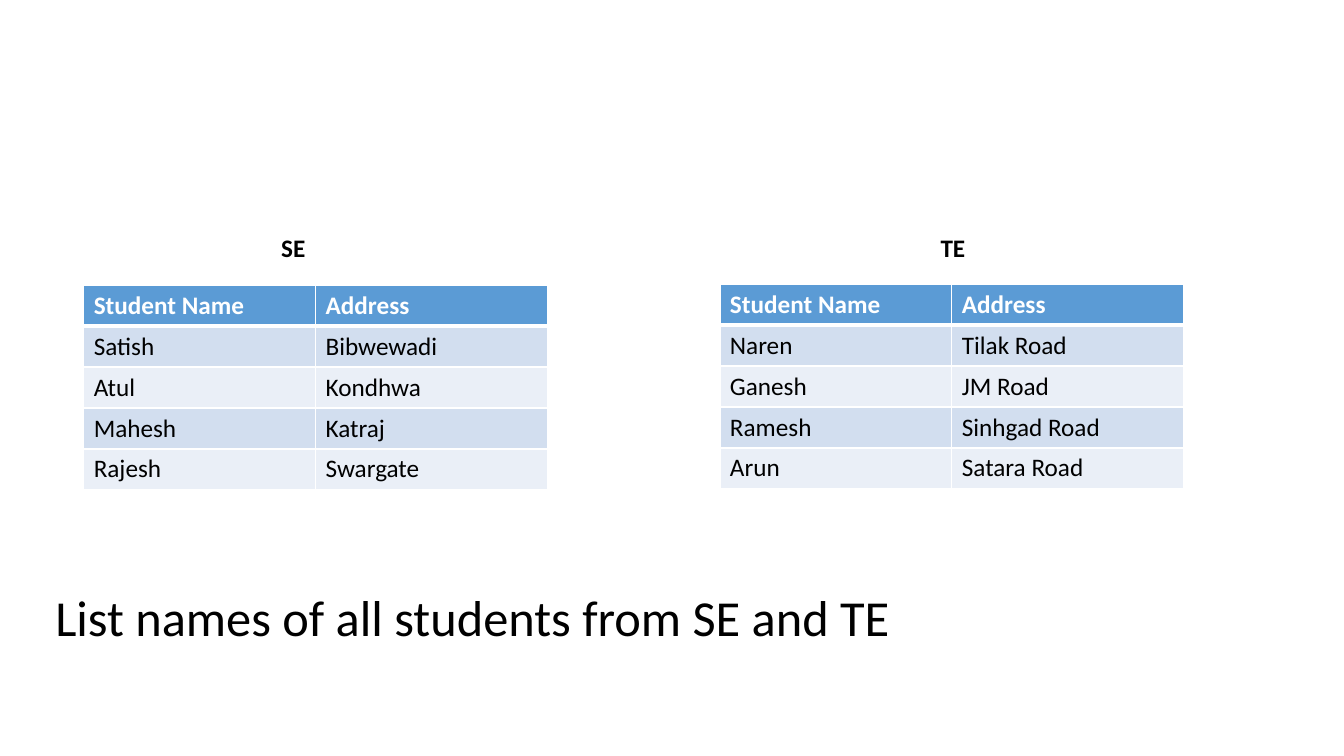
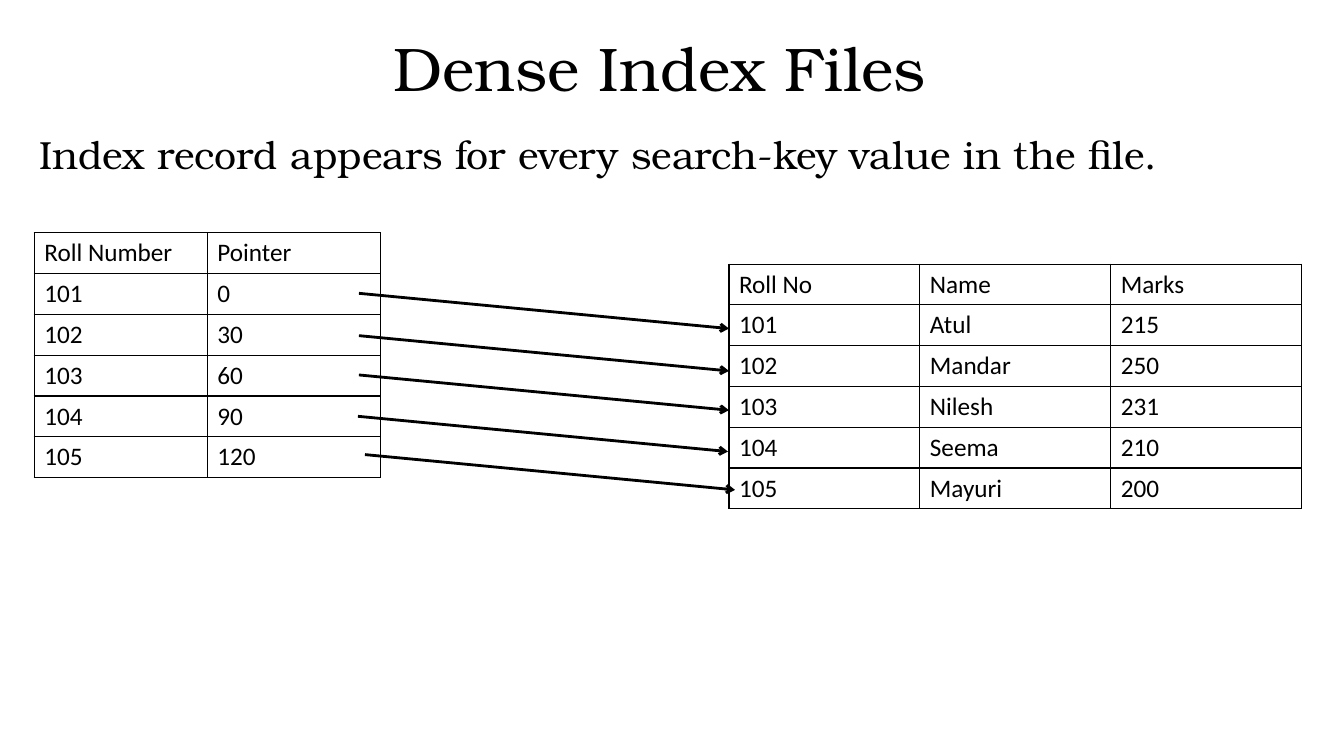
from dataclasses import dataclass

from lxml import etree
from pptx import Presentation
from pptx import util as u
from pptx.dml.color import RGBColor
from pptx.enum import shapes, text
from pptx.oxml.ns import qn


@dataclass(frozen=True)
class Theme:
    black: str = "000000"
    white: str = "FFFFFF"
    header: str = "5B9BD5"
    bands: tuple = ("D2DEEF", "EAEFF7")
    sans: str = "Calibri"
    serif: str = "TeX Gyre Bonum"
    title: int = 44
    prompt: int = 36
    body: int = 28
    table: int = 18


T = Theme()


def add_run(p, words, size, font=T.sans, color=T.black, bold=False):
    r = p.add_run()
    r.text = words
    r.font.size = u.Pt(size)
    r.font.name = font
    r.font.bold = bold
    r.font.color.rgb = RGBColor.from_string(color)


def add_text(s, box, words, size, wrap=False, align=text.PP_ALIGN.LEFT,
             anchor=text.MSO_ANCHOR.TOP, spacing=1.0, **style):
    tf = s.shapes.add_textbox(*map(u.Inches, box)).text_frame
    tf.word_wrap = wrap
    tf.vertical_anchor = anchor
    p = tf.paragraphs[0]
    p.alignment = align
    p.line_spacing = spacing
    add_run(p, words, size, **style)


def set_borders(cell, color, top=1, bottom=1):
    tcPr = cell._tc.get_or_add_tcPr()
    for side, width in (("L", 1), ("R", 1), ("T", top), ("B", bottom)):
        ln = etree.SubElement(tcPr, qn(f"a:ln{side}"), w=str(u.Pt(width)))
        fill = etree.SubElement(ln, qn("a:solidFill"))
        etree.SubElement(fill, qn("a:srgbClr"), val=color)


def add_table(s, box, rows, banded=False):
    """Draw a plain black grid, or a banded table with a coloured header."""
    frame = s.shapes.add_table(len(rows), len(rows[0]), *map(u.Inches, box))
    table = frame.table
    table.first_row = table.horz_banding = False
    for i, row in enumerate(rows):
        header = banded and i == 0
        for j, words in enumerate(row):
            cell = table.cell(i, j)
            set_borders(cell, T.white if banded else T.black,
                        top=3 if banded and i == 1 else 1,
                        bottom=3 if header else 1)
            if banded:
                cell.fill.solid()
                color = T.header if header else T.bands[(i - 1) % 2]
                cell.fill.fore_color.rgb = RGBColor.from_string(color)
            else:
                cell.fill.background()
            add_run(cell.text_frame.paragraphs[0], words, T.table,
                    color=T.white if header else T.black, bold=header)


def add_arrow(s, x, y, dx, dy):
    ends = map(u.Inches, (x, y, x + dx, y + dy))
    line = s.shapes.add_connector(shapes.MSO_CONNECTOR.STRAIGHT, *ends)
    line.line.width = u.Pt(2)
    line.line.color.rgb = RGBColor.from_string(T.black)
    etree.SubElement(line.line._get_or_add_ln(), qn("a:tailEnd"), type="arrow")
    etree.SubElement(line._element.spPr, qn("a:effectLst"))


def build_students(s):
    head = ("Student Name", "Address")
    second_year = [head, ("Satish", "Bibwewadi"), ("Atul", "Kondhwa"),
                   ("Mahesh", "Katraj"), ("Rajesh", "Swargate")]
    third_year = [head, ("Naren", "Tilak Road"), ("Ganesh", "JM Road"),
                  ("Ramesh", "Sinhgad Road"), ("Arun", "Satara Road")]
    for name, name_x, x, y, rows in (("SE", 2.69, 0.83, 2.83, second_year),
                                     ("TE", 9.23, 7.14, 2.82, third_year)):
        add_table(s, (x, y, 4.6, 2.03), rows, banded=True)
        add_text(s, (name_x, 2.26, 0.45, 0.4), name, T.table, bold=True)
    add_text(s, (0.45, 5.77, 8.56, 0.71),
             "List names of all students from SE and TE", T.prompt)


def build_dense_index(s):
    add_text(s, (0.88, 0.08, 11.33, 1.25), "Dense Index Files", T.title,
             wrap=True, align=text.PP_ALIGN.CENTER,
             anchor=text.MSO_ANCHOR.MIDDLE, spacing=0.9, font=T.serif)
    add_text(s, (0.29, 1.3, 11.33, 0.89),
             "Index record appears for every search-key value in the file.",
             T.body, wrap=True, spacing=0.9, font=T.serif)
    records = [("Roll No", "Name", "Marks"), ("101", "Atul", "215"),
               ("102", "Mandar", "250"), ("103", "Nilesh", "231"),
               ("104", "Seema", "210"), ("105", "Mayuri", "200")]
    index = [("Roll Number", "Pointer")]
    index += [(row[0], str(30 * i)) for i, row in enumerate(records[1:])]
    add_table(s, (7.23, 2.62, 5.68, 2.43), records)
    add_table(s, (0.34, 2.31, 3.43, 2.43), index)
    for x, y in ((3.56, 2.91), (3.56, 3.33), (3.56, 3.72),
                 (3.55, 4.13), (3.62, 4.51)):
        add_arrow(s, x, y, 3.67, 0.35)


def main():
    prs = Presentation()
    prs.slide_width, prs.slide_height = u.Inches(13.33), u.Inches(7.5)
    for build in (build_students, build_dense_index):
        build(prs.slides.add_slide(prs.slide_layouts[6]))
    prs.save("out.pptx")


if __name__ == "__main__":
    main()
